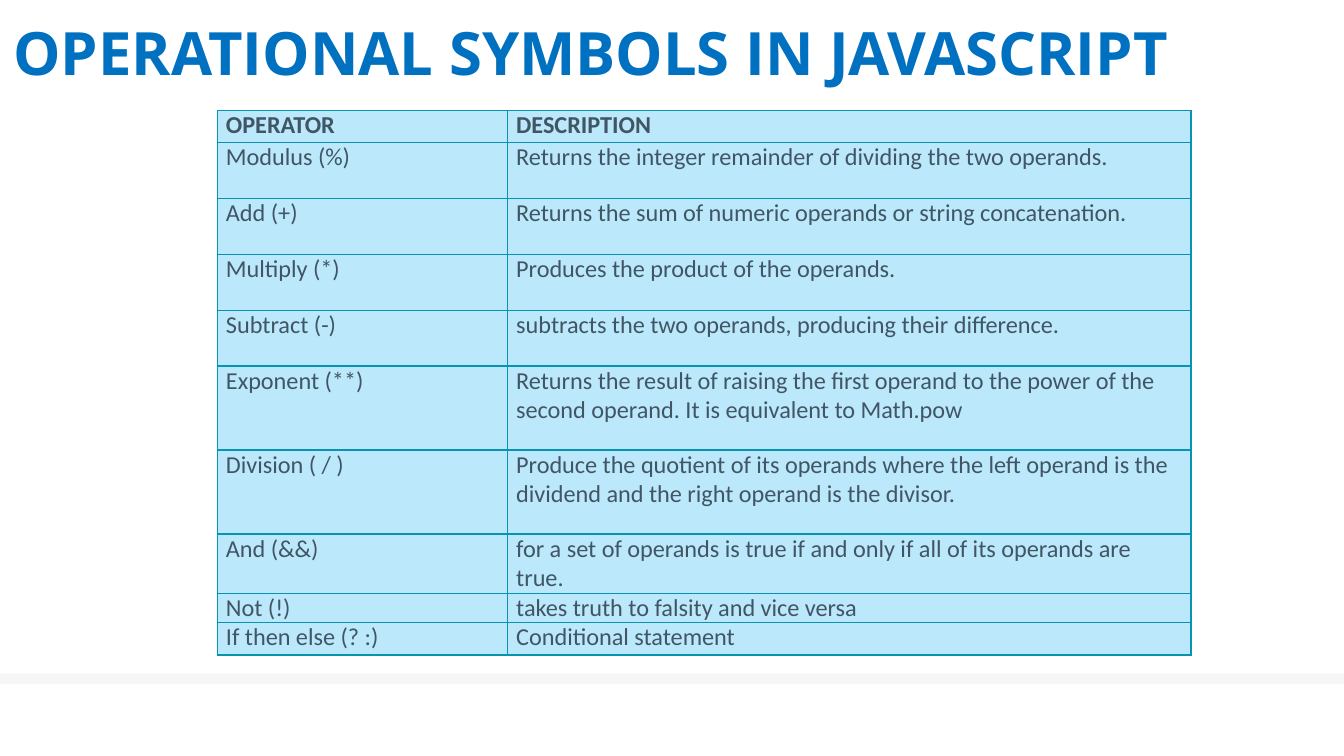
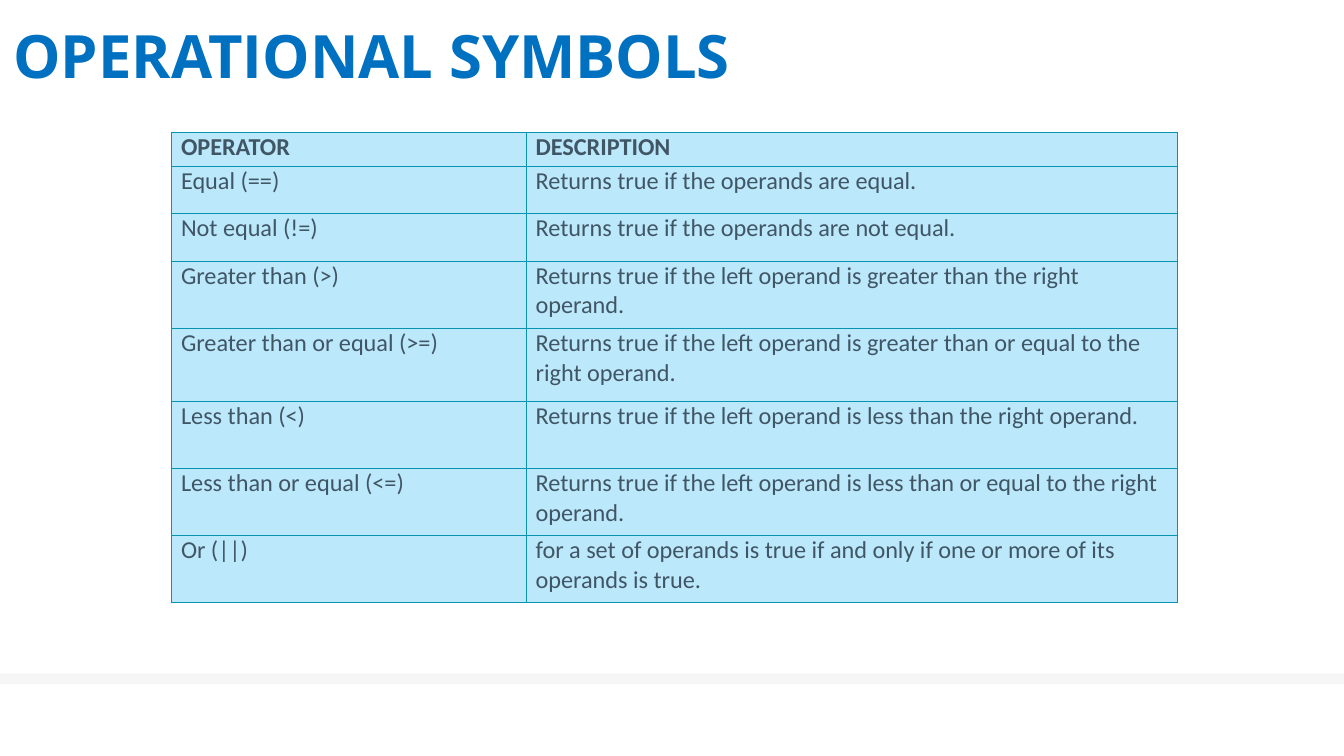
from dataclasses import dataclass

import pptx
import pptx.dml.color
import pptx.enum.shapes
import pptx.enum.text
import pptx.oxml
import pptx.oxml.ns
import pptx.util

Pt = pptx.util.Pt


@dataclass(frozen=True)
class Theme:
    title_color: str = "0070C0"
    body_color: str = "415665"
    cell_color: str = "BBE8FB"
    border_color: str = "0694B0"
    band_color: str = "F6F6F6"
    title_font: str = "Open Sans"
    body_font: str = "Calibri"
    title_size: float = 32
    body_size: float = 13
    border_width: float = 0.75


THEME = Theme()
SLIDE_WIDTH, SLIDE_HEIGHT = 720, 405
HEADINGS = ("OPERATOR", "DESCRIPTION")

ARITHMETIC_AND_LOGIC = [
    HEADINGS,
    ("Modulus (%)", "Returns the integer remainder of dividing the two operands."),
    ("Add (+)", "Returns the sum of numeric operands or string concatenation."),
    ("Multiply (*)", "Produces the product of the operands."),
    ("Subtract (-)", "subtracts the two operands, producing their difference."),
    ("Exponent (**)", "Returns the result of raising the first operand to the power of the "
                      "second operand. It is equivalent to Math.pow"),
    ("Division ( / )", "Produce the quotient of its operands where the left operand is the "
                       "dividend and the right operand is the divisor."),
    ("And (&&)", "for a set of operands is true if and only if all of its operands are true."),
    ("Not (!)", "takes truth to falsity and vice versa"),
    ("If then else (? :)", "Conditional statement"),
]

COMPARISON = [
    HEADINGS,
    ("Equal (==)", "Returns true if the operands are equal."),
    ("Not equal (!=)", "Returns true if the operands are not equal."),
    ("Greater than (>)",
     "Returns true if the left operand is greater than the right operand."),
    ("Greater than or equal (>=)",
     "Returns true if the left operand is greater than or equal to the right operand."),
    ("Less than (<)",
     "Returns true if the left operand is less than the right operand."),
    ("Less than or equal (<=)",
     "Returns true if the left operand is less than or equal to the right operand."),
    ("Or (||)",
     "for a set of operands is true if and only if one or more of its operands is true."),
]


def rgb(color):
    return pptx.dml.color.RGBColor.from_string(color)


def write_text(frame, text, *, font, size, color, bold=False):
    frame.word_wrap = True
    run = frame.paragraphs[0].add_run()
    run.text = text
    run.font.name = font
    run.font.size = Pt(size)
    run.font.bold = bold
    run.font.color.rgb = rgb(color)


def add_band(slide):
    band = slide.shapes.add_shape(pptx.enum.shapes.MSO_SHAPE.RECTANGLE,
                                  0, Pt(360.7), Pt(SLIDE_WIDTH), Pt(5.8))
    band.shadow.inherit = False
    band.fill.solid()
    band.fill.fore_color.rgb = rgb(THEME.band_color)
    band.line.fill.background()


def add_title(slide, text, top, width):
    frame = slide.shapes.add_textbox(0, Pt(top), Pt(width), Pt(49)).text_frame
    frame.auto_size = pptx.enum.text.MSO_AUTO_SIZE.NONE
    frame.vertical_anchor = pptx.enum.text.MSO_ANCHOR.BOTTOM
    frame.margin_left = frame.margin_right = Pt(7.2)
    frame.margin_top = frame.margin_bottom = Pt(7.2)
    write_text(frame, text, font=THEME.title_font, size=THEME.title_size,
               color=THEME.title_color, bold=True)


def add_borders(cell):
    properties = cell._tc.get_or_add_tcPr()
    for side in ("lnL", "lnR", "lnT", "lnB"):
        properties.append(pptx.oxml.parse_xml(
            f'<a:{side} {pptx.oxml.ns.nsdecls("a")} w="{Pt(THEME.border_width)}">'
            f'<a:solidFill><a:srgbClr val="{THEME.border_color}"/></a:solidFill>'
            f'</a:{side}>'))


def fill_cell(cell, text, inset, bold):
    add_borders(cell)
    cell.fill.solid()
    cell.fill.fore_color.rgb = rgb(THEME.cell_color)
    cell.margin_left = cell.margin_right = Pt(inset)
    cell.margin_top = cell.margin_bottom = 0
    write_text(cell.text_frame, text, font=THEME.body_font, size=THEME.body_size,
               color=THEME.body_color, bold=bold)


def add_operator_table(slide, operators, left, top, widths, heights, inset):
    table = slide.shapes.add_table(len(operators), len(widths), Pt(left), Pt(top),
                                   Pt(sum(widths)), Pt(sum(heights))).table
    table.horz_banding = False
    for column, width in zip(table.columns, widths):
        column.width = Pt(width)
    for index, (row, height, texts) in enumerate(zip(table.rows, heights, operators)):
        row.height = Pt(height)
        for cell, text in zip(row.cells, texts):
            fill_cell(cell, text, inset, bold=index == 0)


def add_operator_slide(deck, title, title_top, title_width, **table):
    slide = deck.slides.add_slide(deck.slide_layouts[6])
    add_band(slide)
    add_title(slide, title, title_top, title_width)
    add_operator_table(slide, **table)


def main():
    deck = pptx.Presentation()
    deck.slide_width, deck.slide_height = Pt(SLIDE_WIDTH), Pt(SLIDE_HEIGHT)
    add_operator_slide(
        deck, "OPERATIONAL SYMBOLS IN JAVASCRIPT", 5, 672,
        operators=ARITHMETIC_AND_LOGIC, left=116.6, top=59, widths=(155.5, 366),
        heights=[17.2] + [30] * 4 + [45] * 2 + [30, 15, 17.2], inset=4.5)
    add_operator_slide(
        deck, "OPERATIONAL SYMBOLS", 6.5, 652,
        operators=COMPARISON, left=92, top=71, widths=(190, 349),
        heights=[18, 25.5, 25.5, 36, 39, 36, 36, 36], inset=5)
    deck.save("out.pptx")


if __name__ == "__main__":
    main()
